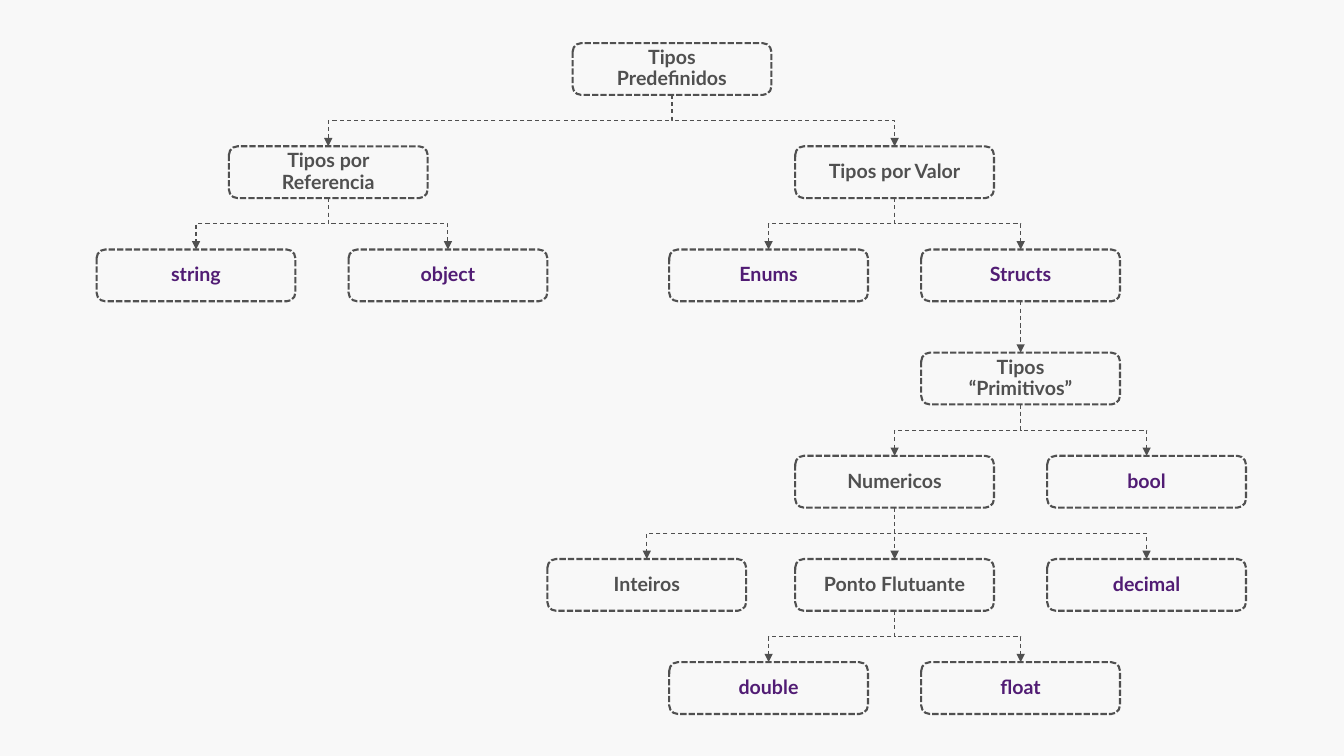
from lxml.etree import SubElement
from pptx import Presentation
from pptx.dml.color import RGBColor
from pptx.enum.dml import MSO_LINE
from pptx.enum.shapes import MSO_CONNECTOR, MSO_SHAPE
from pptx.enum.text import MSO_ANCHOR, PP_ALIGN
from pptx.oxml.ns import qn
from pptx.util import Pt

GREY, PURPLE, PAPER = "505050", "511C74", "F8F8F8"
NODE_WIDTH, NODE_HEIGHT = 142, 37
FIRST_ROW, ROW_STEP = 30.8, 73.7
BOTTOM_SITE, TOP_SITE = 2, 0

TYPES = [
    ("Tipos Predefinidos", 480, 0, GREY, None),
    ("Tipos por Referencia", 234.5, 1, GREY, "Tipos Predefinidos"),
    ("Tipos por Valor", 639, 1, GREY, "Tipos Predefinidos"),
    ("string", 140, 2, PURPLE, "Tipos por Referencia"),
    ("object", 320, 2, PURPLE, "Tipos por Referencia"),
    ("Enums", 549, 2, PURPLE, "Tipos por Valor"),
    ("Structs", 729, 2, PURPLE, "Tipos por Valor"),
    ("Tipos “Primitivos”", 729, 3, GREY, "Structs"),
    ("Numericos", 639, 4, GREY, "Tipos “Primitivos”"),
    ("bool", 819, 4, PURPLE, "Tipos “Primitivos”"),
    ("Inteiros", 462, 5, GREY, "Numericos"),
    ("Ponto Flutuante", 639, 5, GREY, "Numericos"),
    ("decimal", 819, 5, PURPLE, "Numericos"),
    ("double", 549, 6, PURPLE, "Ponto Flutuante"),
    ("float", 729, 6, PURPLE, "Ponto Flutuante"),
]


def colour(hex_string):
    return RGBColor.from_string(hex_string)


def apply(target, formats):
    for attribute, value in formats.items():
        setattr(target, attribute, value)


class TypeTree:
    frame = dict(word_wrap=True, vertical_anchor=MSO_ANCHOR.MIDDLE,
                 margin_left=Pt(14.4), margin_right=Pt(14.4),
                 margin_top=Pt(11.5), margin_bottom=Pt(11.5))
    paragraph = dict(alignment=PP_ALIGN.CENTER, line_spacing=0.9)
    font = dict(name="Lato", size=Pt(14), bold=True)
    border = dict(width=Pt(1.5), dash_style=MSO_LINE.SQUARE_DOT)
    branch = dict(width=Pt(0.75), dash_style=MSO_LINE.DASH)

    def __init__(self, slide):
        self.slide = slide

    def background(self, hex_string):
        fill = self.slide.background.fill
        fill.solid()
        fill.fore_color.rgb = colour(hex_string)

    def outline(self, line, formats):
        line.color.rgb = colour(GREY)
        apply(line, formats)

    def node(self, label, center, row, hex_string):
        box = self.slide.shapes.add_shape(
            MSO_SHAPE.ROUNDED_RECTANGLE,
            Pt(center - NODE_WIDTH / 2), Pt(FIRST_ROW + row * ROW_STEP),
            Pt(NODE_WIDTH), Pt(NODE_HEIGHT))
        box.shadow.inherit = False
        box.fill.background()
        self.outline(box.line, self.border)
        apply(box.text_frame, self.frame)
        text = box.text_frame.paragraphs[0]
        apply(text, self.paragraph)
        run = text.add_run()
        run.text = label
        apply(run.font, self.font)
        run.font.color.rgb = colour(hex_string)
        return box

    def arrow(self, parent, child):
        start, end = (box.left + box.width // 2 for box in (parent, child))
        bottom = parent.top + parent.height
        drop, reach = child.top - bottom, abs(end - start)
        rightward = end > start
        link = self.slide.shapes.add_connector(
            MSO_CONNECTOR.ELBOW, start, bottom, end, child.top)
        link.begin_connect(parent, BOTTOM_SITE)
        link.end_connect(child, TOP_SITE)
        apply(link, dict(left=(start + end - drop) // 2,
                         top=(bottom + child.top - reach) // 2,
                         width=drop, height=reach))
        properties = link._element.spPr
        turn = properties.find(qn("a:xfrm"))
        turn.set("rot", str((270 if rightward else 90) * 60000))
        turn.set("flipH", "1" if rightward else "0")
        turn.set("flipV", "0")
        self.outline(link.line, self.branch)
        SubElement(properties.find(qn("a:ln")), qn("a:tailEnd"), type="triangle")
        SubElement(properties, qn("a:effectLst"))


def main():
    presentation = Presentation()
    apply(presentation, dict(slide_width=Pt(960), slide_height=Pt(540)))
    tree = TypeTree(presentation.slides.add_slide(presentation.slide_layouts[6]))
    tree.background(PAPER)
    nodes = {label: tree.node(label, center, row, hex_string)
             for label, center, row, hex_string, _ in TYPES}
    for label, *_, parent in TYPES:
        if parent:
            tree.arrow(nodes[parent], nodes[label])
    presentation.save("out.pptx")


if __name__ == "__main__":
    main()
